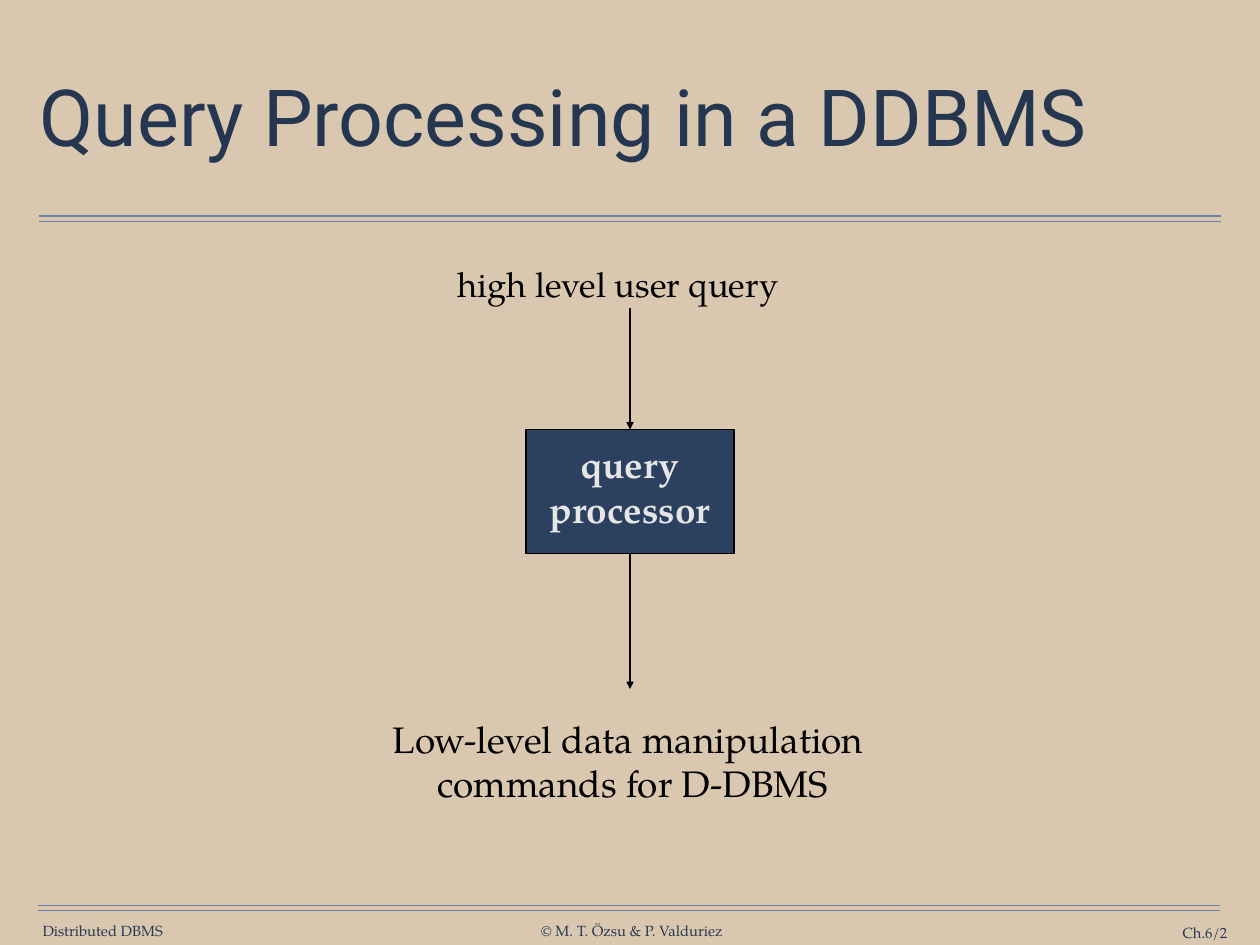
from lxml.etree import SubElement
from pptx import Presentation
from pptx.dml.color import RGBColor
from pptx.enum.shapes import MSO_CONNECTOR, MSO_SHAPE
from pptx.enum.text import MSO_ANCHOR, MSO_AUTO_SIZE, PP_ALIGN
from pptx.oxml.ns import qn
from pptx.util import Inches, Pt

SAND = RGBColor(0xD9, 0xC8, 0xAF)
RULE_BLUE = RGBColor(0x66, 0x82, 0xAA)
FOOTER_NAVY = RGBColor(0x26, 0x37, 0x50)
TITLE_NAVY = RGBColor(0x25, 0x37, 0x50)
BOX_NAVY = RGBColor(0x2C, 0x40, 0x5F)
PALE = RGBColor(0xE6, 0xE6, 0xE6)
BLACK = RGBColor(0, 0, 0)

SERIF = "TeX Gyre Pagella"
SANS = "Roboto"
CENTER = 7.11


def write_lines(frame, lines, size, color, align=PP_ALIGN.CENTER, font=SERIF, bold=False, insets=(0, 0)):
    """Fill a text frame with one paragraph per line."""
    frame.margin_left = frame.margin_right = Inches(insets[0])
    frame.margin_top = frame.margin_bottom = Inches(insets[1])
    for index, line in enumerate(lines):
        para = frame.add_paragraph() if index else frame.paragraphs[0]
        para.alignment = align
        span = para.add_run()
        span.text = line
        span.font.name = font
        span.font.size = Pt(size)
        span.font.bold = bold
        span.font.color.rgb = color


def add_text(page, place, lines, size, color, anchor=MSO_ANCHOR.TOP, wrap=False, grow=True, **style):
    """Add a text box and return it."""
    box = page.shapes.add_textbox(*map(Inches, place))
    frame = box.text_frame
    frame.word_wrap = wrap
    frame.auto_size = MSO_AUTO_SIZE.SHAPE_TO_FIT_TEXT if grow else MSO_AUTO_SIZE.NONE
    frame.vertical_anchor = anchor
    write_lines(frame, lines, size, color, **style)
    return box


def add_line(page, start, end, color, width):
    """Add a straight connector without a shadow."""
    line = page.shapes.add_connector(MSO_CONNECTOR.STRAIGHT, *map(Inches, start + end))
    line.line.color.rgb = color
    line.line.width = Pt(width)
    SubElement(line._element.spPr, qn("a:effectLst"))
    return line


def add_double_rule(page, left, top):
    """Add two thin parallel lines across the page."""
    for y in (top, top + 0.06):
        add_line(page, (left, y), (left + 13.34, y), RULE_BLUE, 1)


def add_arrow(page, top, bottom):
    """Add a downward arrow on the centre line."""
    arrow = add_line(page, (CENTER, top), (CENTER, bottom), BLACK, 1.5)
    SubElement(arrow.line._get_or_add_ln(), qn("a:tailEnd"), type="triangle")
    return arrow


def add_processor(page):
    """Add the query processor rectangle and return it."""
    processor = page.shapes.add_shape(
        MSO_SHAPE.RECTANGLE, Inches(CENTER - 1.17), Inches(4.85), Inches(2.34), Inches(1.4))
    processor.shadow.inherit = False
    processor.fill.solid()
    processor.fill.fore_color.rgb = BOX_NAVY
    processor.line.color.rgb = BLACK
    processor.line.width = Pt(1.5)
    processor.text_frame.vertical_anchor = MSO_ANCHOR.TOP
    write_lines(processor.text_frame, ["query", "processor"], 30, PALE, bold=True, insets=(0.1, 0.14))
    return processor


def add_footer(page):
    """Add the footer rule and its three texts."""
    add_double_rule(page, 0.43, 10.22)
    for place, words, align, wrap in (
        ((0.47, 10.41, 1.38, 0.2), "Distributed DBMS", PP_ALIGN.CENTER, False),
        ((6.09, 10.41, 2.08, 0.2), "© M. T. Özsu & P. Valduriez", PP_ALIGN.CENTER, False),
        ((12.31, 10.43, 1.54, 0.2), "Ch.6/2", PP_ALIGN.RIGHT, True),
    ):
        add_text(page, place, [words], 12, FOOTER_NAVY, MSO_ANCHOR.MIDDLE, wrap, align=align)


def main():
    """Build the slide and save it."""
    deck = Presentation()
    deck.slide_width, deck.slide_height = Inches(14.22), Inches(10.67)
    page = deck.slides.add_slide(deck.slide_layouts[6])
    page.background.fill.solid()
    page.background.fill.fore_color.rgb = SAND

    add_double_rule(page, 0.44, 2.44)
    add_footer(page)
    title = add_text(page, (0.39, 0.49, 13.44, 1.76), ["Query Processing in a DDBMS"], 64, TITLE_NAVY,
                     MSO_ANCHOR.MIDDLE, True, False, align=PP_ALIGN.LEFT, font=SANS, insets=(0.06, 0.06))
    title.text_frame.paragraphs[0].line_spacing = 0.9

    add_text(page, (4.92, 2.9, 4.11, 0.61), ["high level user query"], 28, BLACK, insets=(0.14, 0.07))
    processor = add_processor(page)
    add_arrow(page, 3.48, 4.85).end_connect(processor, 0)
    add_arrow(page, 6.25, 7.78).begin_connect(processor, 2)
    add_text(page, (4.24, 8.02, 5.7, 1.15), ["Low-level data manipulation", " commands for D-DBMS"],
             30, BLACK, insets=(0.14, 0.07))
    deck.save("out.pptx")


if __name__ == "__main__":
    main()
